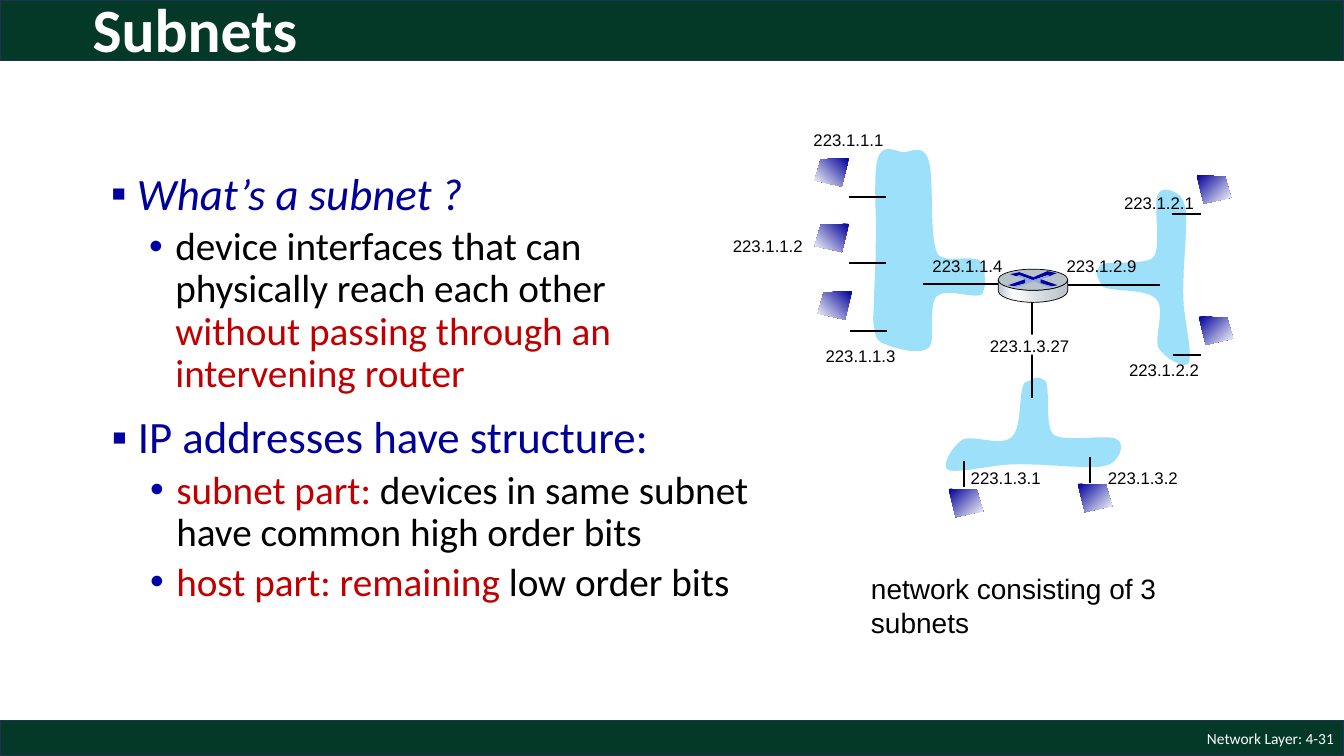
from lxml.etree import SubElement
from pptx import Presentation
from pptx.dml.color import RGBColor
from pptx.enum.shapes import MSO_CONNECTOR, MSO_SHAPE
from pptx.enum.text import MSO_ANCHOR, PP_ALIGN
from pptx.oxml.ns import qn
from pptx.util import Pt

SCALE = 9144
WIDE, HIGH = 1333, 750
GREEN, NAVY, BLUE, RED = "043927", "1E3256", "000099", "C00000"
BLACK, WHITE, SKY, STEEL = "000000", "FFFFFF", "9CE0FA", "B8C2C9"

LEFT_CLOUD = [
    (111, 124), (109, 105, 74, 122, 65, 110), (56, 92, 62, 34, 56, 17),
    (51, 0, 39, 9, 31, 9), (23, 8, 11, 0, 6, 14), (1, 27, 4, 71, 4, 89),
    (3, 107, 4, 112, 3, 123), (3, 134, 2, 144, 2, 154), (2, 164, 0, 175, 2, 182),
    (3, 190, 3, 196, 12, 199), (21, 203, 47, 211, 56, 203),
    (64, 196, 55, 161, 64, 152), (73, 143, 101, 155, 109, 150),
    (112, 142, 113, 143, 111, 124)]
RIGHT_CLOUD = [
    (-41, 9), (-32, 15, 2, 11, 12, 21), (23, 31, 10, 59, 15, 70),
    (21, 80, 41, 92, 45, 85), (49, 78, 41, 42, 40, 27), (39, 12, 40, 4, 40, -7),
    (41, -18, 41, -28, 42, -38), (42, -48, 43, -59, 42, -66),
    (41, -74, 38, -81, 33, -83), (29, -86, 18, -91, 14, -81),
    (10, -70, 18, -29, 10, -20), (3, -11, -36, -17, -43, -12),
    (-47, -4, -49, -7, -41, 9)]
LABELS = [
    ("223.1.1.1", 97, 24), ("223.1.1.2", 17, 129), ("223.1.1.3", 109, 238),
    ("223.1.1.4", 215, 149), ("223.1.2.9", 348, 149), ("223.1.2.2", 410, 252),
    ("223.1.2.1", 405, 86), ("223.1.3.2", 389, 359), ("223.1.3.1", 253, 359),
    ("223.1.3.27", 272, 228)]
MASKS = [(27, 137, 91, 20), (278, 232, 93, 20)]
HOSTS = [(108, 57, True), (108, 122, True), (111, 189, True), (487, 74, False),
         (489, 214, False), (369, 380, False), (241, 385, False)]
WIRES = [(142, 95, 37, 0), (142, 161, 37, 0), (143, 228, 37, 0),
         (462, 112, 29, 0), (463, 252, 28, 0), (256, 357, 0, 26),
         (381, 353, 0, 26), (215, 182, 87, 0), (344, 183, 107, 0)]
TRUNK = (324, 199, 0, 96)


def px(num):
    return round(num * SCALE)


def hue(code):
    return RGBColor.from_string(code)


def paint(shape, fill, line=None, weight=1):
    shape.shadow.inherit = False
    shape.fill.solid()
    shape.fill.fore_color.rgb = hue(fill)
    if line:
        shape.line.color.rgb = hue(line)
        shape.line.width = Pt(weight)
    else:
        shape.line.fill.background()


def blend(shape, stops, angle):
    shape.fill.gradient()
    shape.fill.gradient_angle = angle
    group = shape._element.spPr.find(qn("a:gradFill")).find(qn("a:gsLst"))
    for stop in list(group):
        group.remove(stop)
    for place, code in stops:
        stop = SubElement(group, qn("a:gs"), pos=str(place * 1000))
        SubElement(stop, qn("a:srgbClr"), val=code)


def block(slide, kind, x, y, w, h, fill, line=None, weight=1):
    shape = slide.shapes.add_shape(kind, px(x), px(y), px(w), px(h))
    paint(shape, fill, line, weight)


def pairs(step):
    return list(zip(step[::2], step[1::2]))


def turn(steps):
    return [tuple(n for a, b in pairs(step) for n in (-b, a)) for step in steps]


def bend(shape, steps):
    lines = list(shape._element.iter(qn("a:lnTo")))
    for step in steps[1:]:
        count = len(step) // 2
        group, lines = lines[:count], lines[count:]
        if count == 3:
            group[0].tag
            curve = group[0].makeelement(qn("a:cubicBezTo"))
            group[0].addprevious(curve)
            for line in group:
                curve.append(line[0])
                line.getparent().remove(line)


def form(slide, x, y, steps, fill, line=None, weight=1):
    spots = [(px(x + a), px(y + b)) for step in steps for a, b in pairs(step)]
    maker = slide.shapes.build_freeform(*spots[0], scale=1.0)
    maker.add_line_segments(spots[1:], close=True)
    shape = maker.convert_to_shape()
    bend(shape, steps)
    paint(shape, fill, line, weight)
    return shape


def wire(slide, x, y, w, h):
    line = slide.shapes.add_connector(
        MSO_CONNECTOR.STRAIGHT, px(x), px(y), px(x + w), px(y + h))
    line.line.color.rgb = hue(BLACK)
    line.line.width = Pt(1.5)
    SubElement(line._element.spPr, qn("a:effectLst"))


def frame(slide, x, y, w, h, wrap=True, anchor=MSO_ANCHOR.TOP):
    text = slide.shapes.add_textbox(px(x), px(y), px(w), px(h)).text_frame
    text.word_wrap = wrap
    text.vertical_anchor = anchor
    return text


def write(para, words, size, color, face="Calibri", bold=False, slant=False):
    run = para.add_run()
    run.text = words
    font = run.font
    font.size, font.name, font.bold, font.italic = Pt(size), face, bold, slant
    font.color.rgb = hue(color)


def header(slide, x, y, w, h):
    block(slide, MSO_SHAPE.RECTANGLE, x, y, w, h, GREEN, NAVY)
    text = frame(slide, x + 82, y - 17, 1150, 98, anchor=MSO_ANCHOR.MIDDLE)
    para = text.paragraphs[0]
    para.line_spacing = 0.9
    write(para, "Subnets", 44, WHITE, bold=True)


def footer(slide, x, y, w, h):
    block(slide, MSO_SHAPE.RECTANGLE, x, y, w, h, GREEN, NAVY)
    text = frame(slide, x + w - 300, y, 300, h, anchor=MSO_ANCHOR.MIDDLE)
    para = text.paragraphs[0]
    para.alignment = PP_ALIGN.RIGHT
    write(para, "Network Layer: 4-31", 11, WHITE)


def bullets(slide, x, y, w, h, head, items, slant=False):
    text = frame(slide, x, y, w, h)
    for i, runs in enumerate([[(head, BLUE)]] + items):
        para = text.add_paragraph() if i else text.paragraphs[0]
        props = para._p.get_or_add_pPr()
        props.set("marL", str(px(64 if i else 26)))
        props.set("indent", str(px(-26)))
        tint = SubElement(props, qn("a:buClr"))
        SubElement(tint, qn("a:srgbClr"), val="0000A8" if i else "0000A3")
        SubElement(props, qn("a:buFont"), typeface="Arial")
        SubElement(props, qn("a:buChar"), char="•" if i else "▪")
        para.line_spacing = 0.9
        if i:
            para.level = 1
            para.space_before = Pt(5)
        for words, color in runs:
            write(para, words, 28 if i else 32, color, slant=slant and not i)


def host(slide, x, y, flip):
    points = [(0, 0), (28, 1), (34, 22), (7, 28)]
    if flip:
        points = [(34 - a, b) for a, b in points]
    shape = form(slide, x, y, points, BLUE)
    blend(shape, [(0, BLUE), (100, WHITE)], 225 if flip else 315)


def router(slide, x, y, w, h):
    side = [(w, 11), (w, 22), (67, 30, 47, h, 35, h), (23, h, 2, 30, 0, 22),
            (0, 20, 0, 14, 0, 11), (3, 18, 23, 21, 35, 21), (46, 21, 66, 19, w, 11)]
    shell = form(slide, x, y, side, STEEL, BLACK, 0.5)
    blend(shell, [(0, STEEL), (21, WHITE), (60, "D6DCE0"), (100, STEEL)], 0)
    block(slide, MSO_SHAPE.OVAL, x, y, w, 21, STEEL, BLACK, 0.5)
    for points, color in [
            ([(49, 2), (58, 4), (51, 7), (49, 6), (34, 11), (21, 6), (18, 7),
              (12, 5), (21, 3), (35, 8)], "0000A3"),
            ([(42, 10), (59, 16), (53, 17), (42, 14)], "0000A3"),
            ([(27, 10), (27, 14), (16, 17), (10, 16)], "0000A8"),
            ([(18, 7), (21, 6), (35, 11), (49, 6), (52, 7), (42, 10), (42, 14),
              (53, 17), (50, 18), (35, 12), (19, 18), (16, 17), (27, 14),
              (27, 10)], "8FAADC")]:
        form(slide, x, y, points, color)


def network(slide, x, y):
    form(slide, x + 325, y + 321, turn(RIGHT_CLOUD), SKY)
    form(slide, x + 434, y + 175, RIGHT_CLOUD, SKY)
    form(slide, x + 165, y + 42, LEFT_CLOUD, SKY)
    wire(slide, x + TRUNK[0], y + TRUNK[1], *TRUNK[2:])
    for a, b, w, h in MASKS:
        block(slide, MSO_SHAPE.RECTANGLE, x + a, y + b, w, h, WHITE)
    for words, a, b in LABELS:
        text = frame(slide, x + a, y + b, 10 * len(words), 30, wrap=False)
        write(text.paragraphs[0], words, 12, BLACK, "Arial")
    for a, b, flip in HOSTS:
        host(slide, x + a, y + b, flip)
    for a, b, w, h in WIRES:
        wire(slide, x + a, y + b, w, h)
    router(slide, x + 290, y + 167, 69, 33)
    text = frame(slide, x + 154, y + 462, 400, 43)
    write(text.paragraphs[0], "network consisting of 3 subnets", 20, BLACK, "Arial")


def main():
    deck = Presentation()
    deck.slide_width, deck.slide_height = px(WIDE), px(HIGH)
    slide = deck.slides.add_slide(deck.slide_layouts[6])
    footer(slide, 0, HIGH - 35, WIDE, 35)
    header(slide, 0, 0, WIDE, 60)
    network(slide, 700, 100)
    bullets(slide, 100, 165, 602, 242, "What’s a subnet ?", [
        [("device interfaces that can physically reach each other ", BLACK),
         ("without passing through an intervening router", RED)]], slant=True)
    bullets(slide, 101, 407, 662, 292, "IP addresses have structure:", [
        [("subnet part: ", RED),
         ("devices in same subnet have common high order bits", BLACK)],
        [("host part: remaining", RED), (" low order bits", BLACK)]])
    deck.save("out.pptx")


if __name__ == "__main__":
    main()
